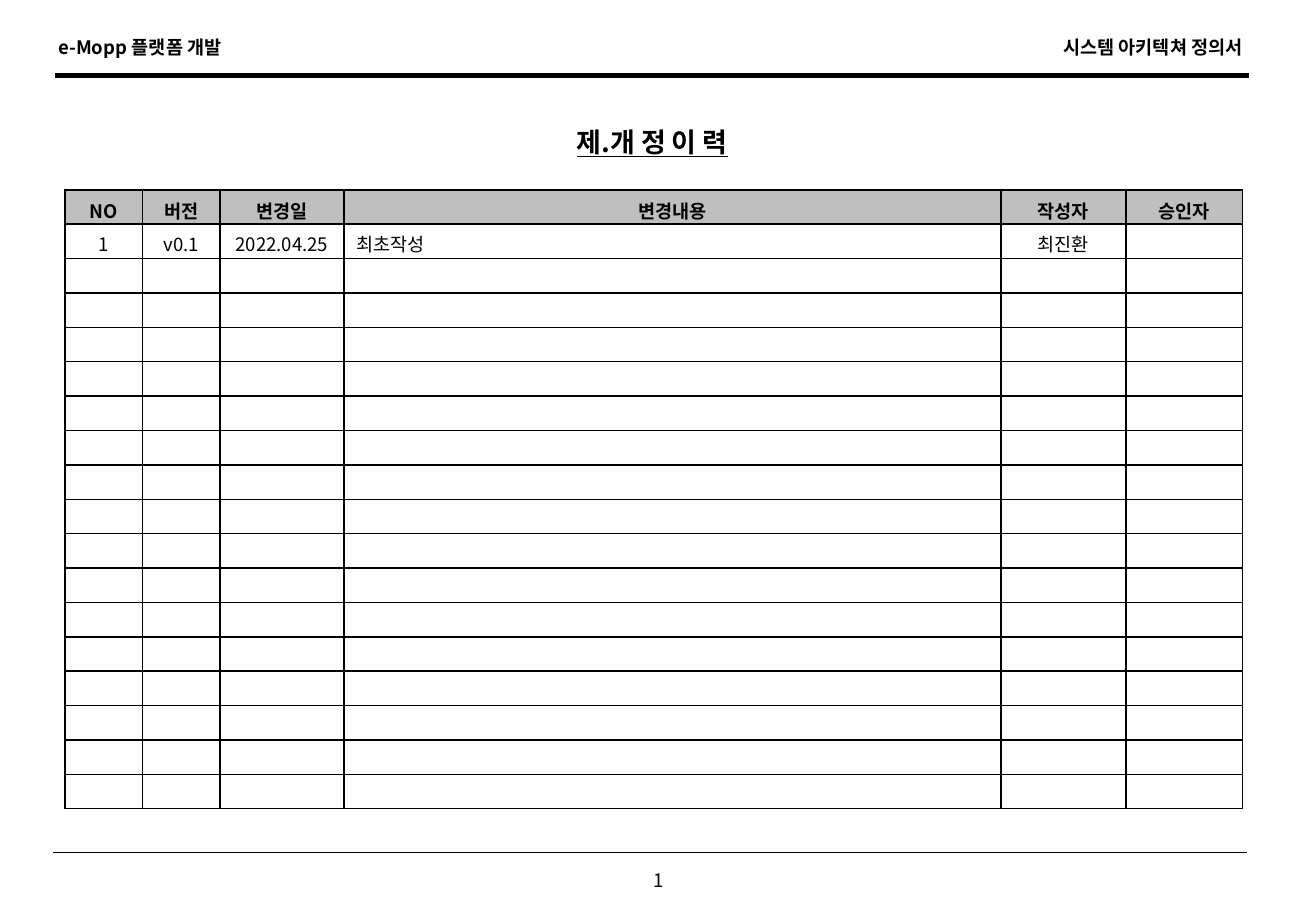
import pptx
import pptx.util
import pptx.dml.color
import pptx.enum.shapes
import pptx.enum.text
import pptx.oxml.ns
import lxml.etree

Pt = pptx.util.Pt
qn = pptx.oxml.ns.qn
ALIGN = pptx.enum.text.PP_ALIGN
ANCHOR = pptx.enum.text.MSO_ANCHOR
BLACK = pptx.dml.color.RGBColor(0, 0, 0)
WHITE = pptx.dml.color.RGBColor(255, 255, 255)
GRAY = pptx.dml.color.RGBColor(191, 191, 191)
FONT = "Noto Sans CJK KR"

LABELS = [
    ("1", 375, 511.2, 31, 21, 11, ALIGN.CENTER, False, False),
    ("시스템 아키텍쳐 정의서", 610.6, 17.3, 133.2, 21, 11, ALIGN.RIGHT, True, False),
    ("e-Mopp 플랫폼 개발", 27.4, 17.3, 122.4, 21, 11, ALIGN.LEFT, True, False),
    ("제.개 정 이 력", 37.4, 70.6, 698.4, 26.6, 16, ALIGN.CENTER, True, True),
]
RULES = [(31.7, 739.4, 505.4, 0.75), (32.4, 740.2, 44.9, 2.75)]
HEADS = ["NO", "버전", "변경일", "변경내용", "작성자", "승인자"]
ENTRY = ["1", "v0.1", "2022.04.25", "최초작성", "최진환", ""]
WIDTHS = [46, 46, 73.5, 389.5, 74, 69]
ROWS = 18
ROW_H = 20.4
NOTE_COL = 3


def style(para, size, align, bold=False, under=False):
    para.alignment = align
    font = para.font
    font.name = FONT
    font.size = Pt(size)
    font.bold = bold
    font.underline = under
    font.color.rgb = BLACK
    base = para._p.pPr.find(qn("a:defRPr"))
    lxml.etree.SubElement(base, qn("a:ea")).set("typeface", FONT)


def border(cell):
    props = cell._tc.get_or_add_tcPr()
    for side in ("lnL", "lnR", "lnT", "lnB"):
        line = lxml.etree.SubElement(props, qn("a:" + side), w=str(Pt(1)))
        fill = lxml.etree.SubElement(line, qn("a:solidFill"))
        lxml.etree.SubElement(fill, qn("a:srgbClr"), val=str(BLACK))


def label(slide, text, x, y, w, h, size, align, bold, under):
    frame = slide.shapes.add_textbox(Pt(x), Pt(y), Pt(w), Pt(h)).text_frame
    frame.word_wrap = True
    frame.vertical_anchor = ANCHOR.MIDDLE
    frame.text = text
    style(frame.paragraphs[0], size, align, bold, under)


def rule(slide, left, right, y, width):
    line = slide.shapes.add_connector(
        pptx.enum.shapes.MSO_CONNECTOR.STRAIGHT, Pt(left), Pt(y), Pt(right), Pt(y))
    line.line.color.rgb = BLACK
    line.line.width = Pt(width)
    lxml.etree.SubElement(line._element.spPr, qn("a:effectLst"))


def history(slide):
    table = slide.shapes.add_table(
        ROWS, len(HEADS), Pt(38.4), Pt(112.5), Pt(sum(WIDTHS)), Pt(ROWS * ROW_H)).table
    table.first_row = False
    table.horz_banding = False
    for col, width in zip(table.columns, WIDTHS):
        col.width = Pt(width)
    blank = [[""] * len(HEADS)] * (ROWS - 2)
    for r, texts in enumerate([HEADS, ENTRY] + blank):
        table.rows[r].height = Pt(ROW_H)
        head = r == 0
        for c, text in enumerate(texts):
            cell = table.cell(r, c)
            border(cell)
            cell.fill.solid()
            cell.fill.fore_color.rgb = GRAY if head else WHITE
            cell.margin_top = Pt(3.6)
            cell.margin_bottom = Pt(0)
            cell.vertical_anchor = ANCHOR.MIDDLE if head else ANCHOR.TOP
            cell.text = text
            para = cell.text_frame.paragraphs[0]
            left = c == NOTE_COL and not head
            style(para, 11, ALIGN.LEFT if left else ALIGN.CENTER, head)
            if not text:
                lxml.etree.SubElement(para._p, qn("a:endParaRPr"), sz="1100")


def main():
    deck = pptx.Presentation()
    deck.slide_width = Pt(780)
    deck.slide_height = Pt(540)
    slide = deck.slides.add_slide(deck.slide_layouts[6])
    for item in RULES:
        rule(slide, *item)
    for item in LABELS:
        label(slide, *item)
    history(slide)
    deck.save("out.pptx")


if __name__ == "__main__":
    main()
